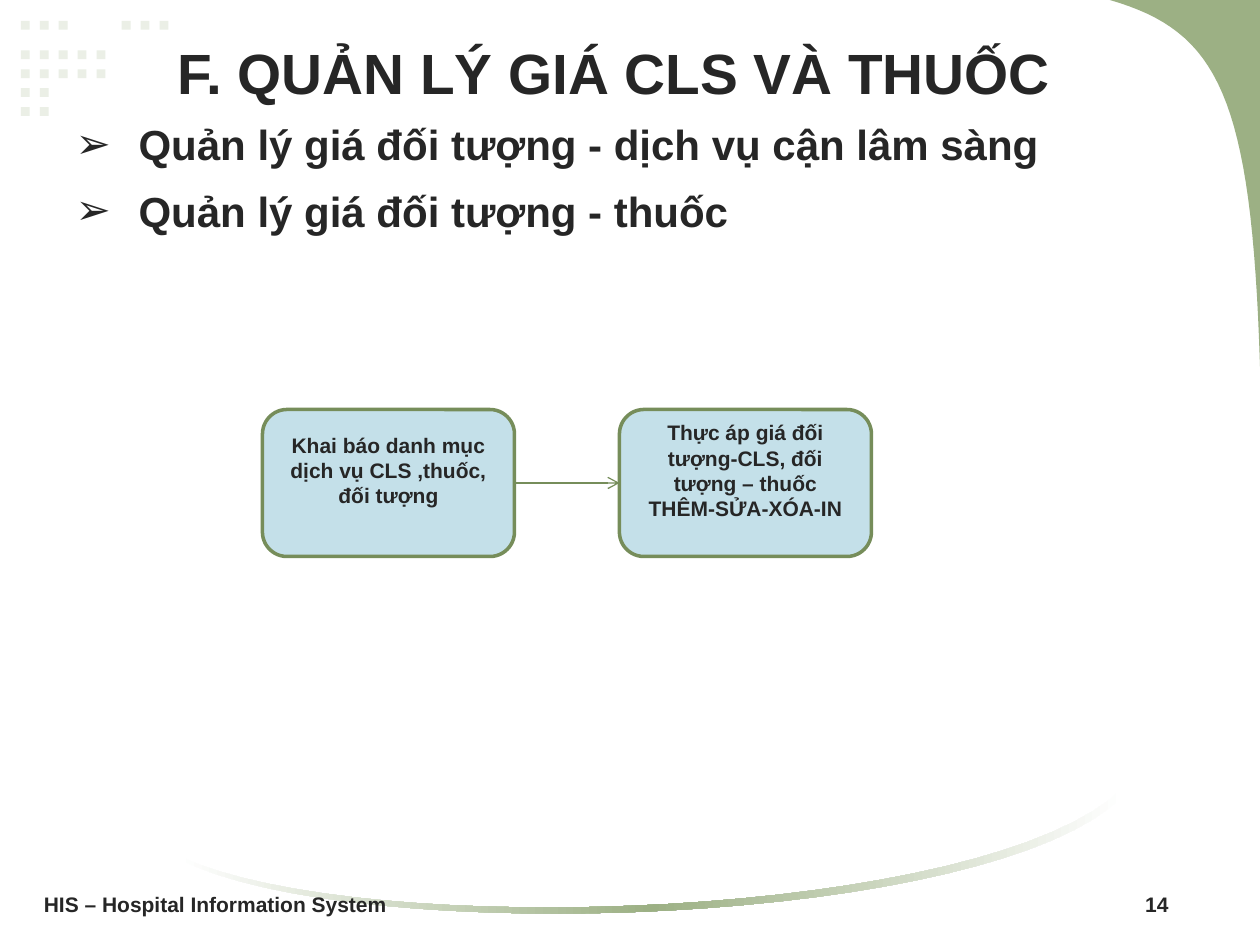
from copy import deepcopy

from lxml import etree
from pptx import Presentation
from pptx import util as u
from pptx.dml.color import RGBColor
from pptx.enum import shapes, text
from pptx.oxml.ns import qn

CELL = u.Inches(1) / 12  # the slide is a grid of 120 columns by 90 rows
INK, GREEN, EDGE, SKY, PALE, WHITE = (
    "262626", "9CB084", "768D5A", "C4E0E9", "EBEFE6", "FFFFFF")


def rgb(value):
    return RGBColor.from_string(value)


def cells(*values):
    return [u.Emu(round(v * CELL)) for v in values]


def set_all(target, values):
    for name, value in values.items():
        setattr(target, name, value)


def child(parent, tag, **attrs):
    return etree.SubElement(parent, qn(tag), attrs)


def bezier(p0, p1, p2, p3, steps=32):
    """Points along a cubic curve."""
    for i in range(steps + 1):
        t = i / steps
        weights = (1 - t) ** 3, 3 * t * (1 - t) ** 2, 3 * t * t * (1 - t), t ** 3
        yield tuple(sum(w * p[axis] for w, p in zip(weights, (p0, p1, p2, p3)))
                    for axis in (0, 1))


class Deck:
    """Holds the style and the current slide; positions are in grid cells."""

    font = {"name": "Arial", "bold": True}

    def __init__(self, prs):
        self.slide = prs.slides.add_slide(prs.slide_layouts[1])
        self.shapes = self.slide.shapes

    def put_text(self, sp, lines, size, frame=None, para=None):
        tf = sp.text_frame
        set_all(tf, {"word_wrap": True, "auto_size": text.MSO_AUTO_SIZE.NONE,
                     **(frame or {})})
        for i, line in enumerate(lines):
            p = tf.paragraphs[0] if i == 0 else tf.add_paragraph()
            set_all(p, para or {})
            r = p.add_run()
            r.text = line
            set_all(r.font, {**self.font, "size": u.Pt(size)})
            r.font.color.rgb = rgb(INK)
        return tf.paragraphs

    def placeholder(self, index, box, lines, size, **formats):
        """Moves a template placeholder to the front and fills it."""
        sp = self.slide.placeholders[index]
        set_all(sp, dict(zip(("left", "top", "width", "height"), cells(*box))))
        self.shapes._spTree.append(sp._element)
        return self.put_text(sp, lines, size, **formats)

    def bullets(self, box, lines, size):
        para = {"line_spacing": 1.15, "space_before": u.Pt(size * 0.2)}
        for p in self.placeholder(1, box, lines, size, para=para):
            pPr = p._p.get_or_add_pPr()
            pPr.set("marL", str(u.Inches(0.5)))
            pPr.set("indent", str(-u.Inches(0.5)))
            child(pPr, "a:buFont", typeface="Arial")
            child(pPr, "a:buChar", char="➢")

    def shape(self, kind, box, fill, line=None):
        sp = self.shapes.add_shape(kind, *cells(*box))
        return self.paint(sp, fill, line)

    def paint(self, sp, fill, line=None):
        sp.shadow.inherit = False
        sp.fill.solid()
        sp.fill.fore_color.rgb = rgb(fill)
        if line:
            sp.line.color.rgb = rgb(line)
            sp.line.width = u.Pt(2)
        else:
            sp.line.fill.background()
        return sp

    def dots(self, left, top, counts, pitch=1.8, size=0.84):
        """Rows of small squares, with a count for each row."""
        for row, count in enumerate(counts):
            for col in range(count):
                self.shape(shapes.MSO_SHAPE.RECTANGLE,
                           (left + col * pitch, top + row * pitch, size, size), PALE)

    def outline(self, points, fill):
        start, *rest = [cells(*point) for point in points]
        builder = self.shapes.build_freeform(*start)
        builder.add_line_segments(rest, close=True)
        return self.paint(builder.convert_to_shape(), fill)

    def fade(self, sp, colours):
        """Left-to-right gradient with evenly spaced stops."""
        sp.fill.gradient()
        sp.fill.gradient_angle = 0
        stops = sp._element.spPr.find(".//" + qn("a:gsLst"))
        while len(stops) < len(colours):
            stops.append(deepcopy(stops[0]))
        for i, (stop, colour) in enumerate(zip(sp.fill.gradient_stops, colours)):
            stop.color.rgb = rgb(colour)
            stop.position = i / (len(colours) - 1)

    def step(self, box, lines):
        sp = self.shape(shapes.MSO_SHAPE.ROUNDED_RECTANGLE, box, SKY, EDGE)
        self.put_text(sp, lines, 12,
                      frame={"vertical_anchor": text.MSO_ANCHOR.MIDDLE,
                             "margin_bottom": u.Inches(0.25)},
                      para={"alignment": text.PP_ALIGN.CENTER})
        return sp

    def arrow(self, first, second):
        line = self.shapes.add_connector(shapes.MSO_CONNECTOR.STRAIGHT, 0, 0, 0, 0)
        line.begin_connect(first, 3)
        line.end_connect(second, 1)
        line.line.color.rgb = rgb(EDGE)
        line.line.width = u.Pt(0.75)
        spPr = line._element.spPr
        child(spPr.find(qn("a:ln")), "a:tailEnd", type="arrow")
        child(spPr, "a:effectLst")

    def footer(self, box, label, number, tab):
        sp = self.shapes.add_textbox(*cells(*box))
        p = self.put_text(sp, [f"{label}\t{number}"], 12,
                          frame={"vertical_anchor": text.MSO_ANCHOR.MIDDLE})[0]
        tabs = child(p._p.get_or_add_pPr(), "a:tabLst")
        child(tabs, "a:tab", pos=str(u.Inches(tab)), algn="l")


def main():
    prs = Presentation()
    prs.slide_width, prs.slide_height = cells(120, 90)
    deck = Deck(prs)

    for left, top, counts in ((2, 2, [3]), (11.6, 2, [3]), (2, 4.8, [5, 5, 2, 2])):
        deck.dots(left, top, counts)
    corner = bezier((120, 34.9), (119.2, 9), (116, 3), (105.7, 0))
    deck.outline([(120, 0), *corner], GREEN)
    lower = bezier((107, 75.8), (94.6, 88.3), (33.9, 90.4), (17, 81.8))
    upper = bezier((17, 81.5), (34.4, 89.8), (94.4, 87.6), (107, 75))
    deck.fade(deck.outline([*lower, *upper], GREEN), [WHITE, GREEN, WHITE])

    deck.placeholder(0, (6, 3, 105, 11), ["F. QUẢN LÝ GIÁ CLS VÀ THUỐC"], 32.4,
                     frame={"vertical_anchor": text.MSO_ANCHOR.TOP},
                     para={"alignment": text.PP_ALIGN.CENTER})
    deck.bullets((6, 10, 102, 22), ["Quản lý giá đối tượng - dịch vụ cận lâm sàng",
                                    "Quản lý giá đối tượng - thuốc"], 24)
    declare = deck.step((25, 39, 24, 14),
                        ["Khai báo danh mục dịch vụ CLS ,thuốc, đối tượng"])
    pricing = deck.step((59, 39, 24, 14),
                        ["Thực áp giá đối tượng-CLS, đối tượng – thuốc",
                         "THÊM-SỬA-XÓA-IN"])
    deck.arrow(declare, pricing)
    deck.footer((3, 84, 114, 4.2), "HIS – Hospital Information System", 14, tab=8.74)

    prs.save("out.pptx")


if __name__ == "__main__":
    main()
